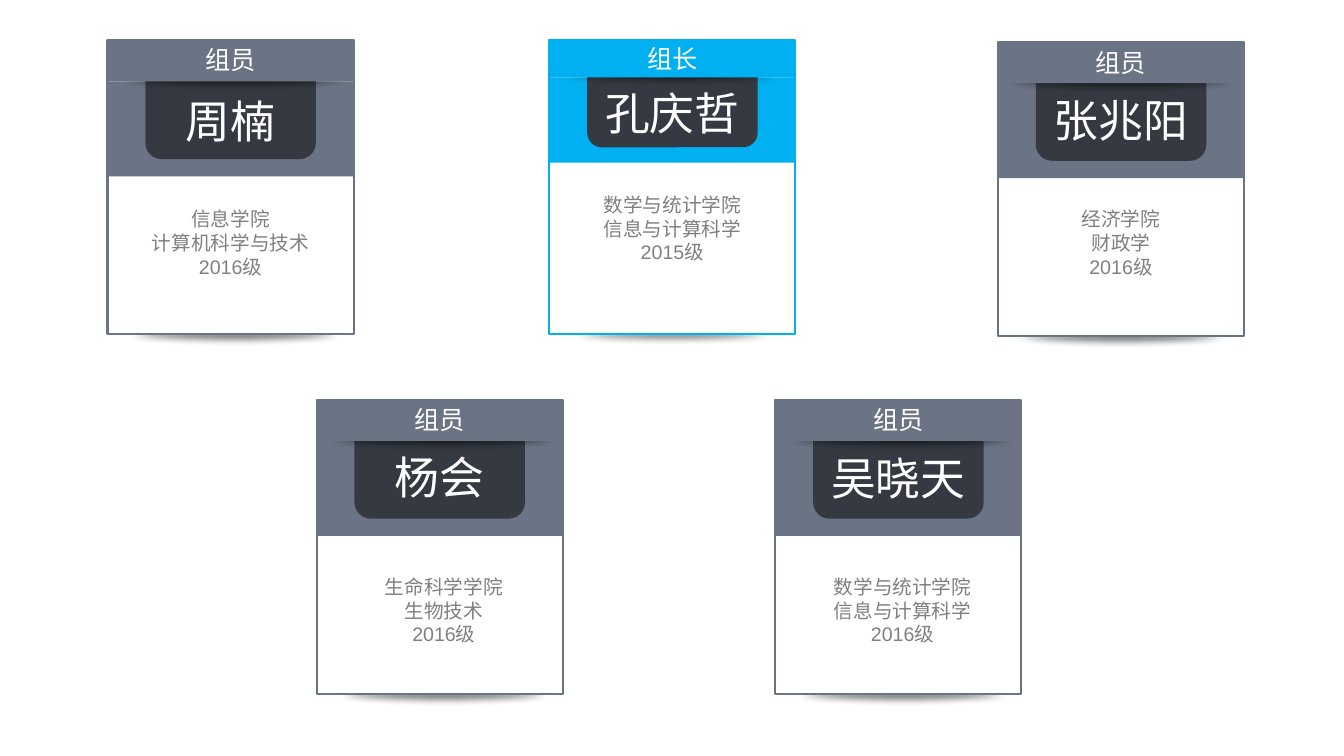
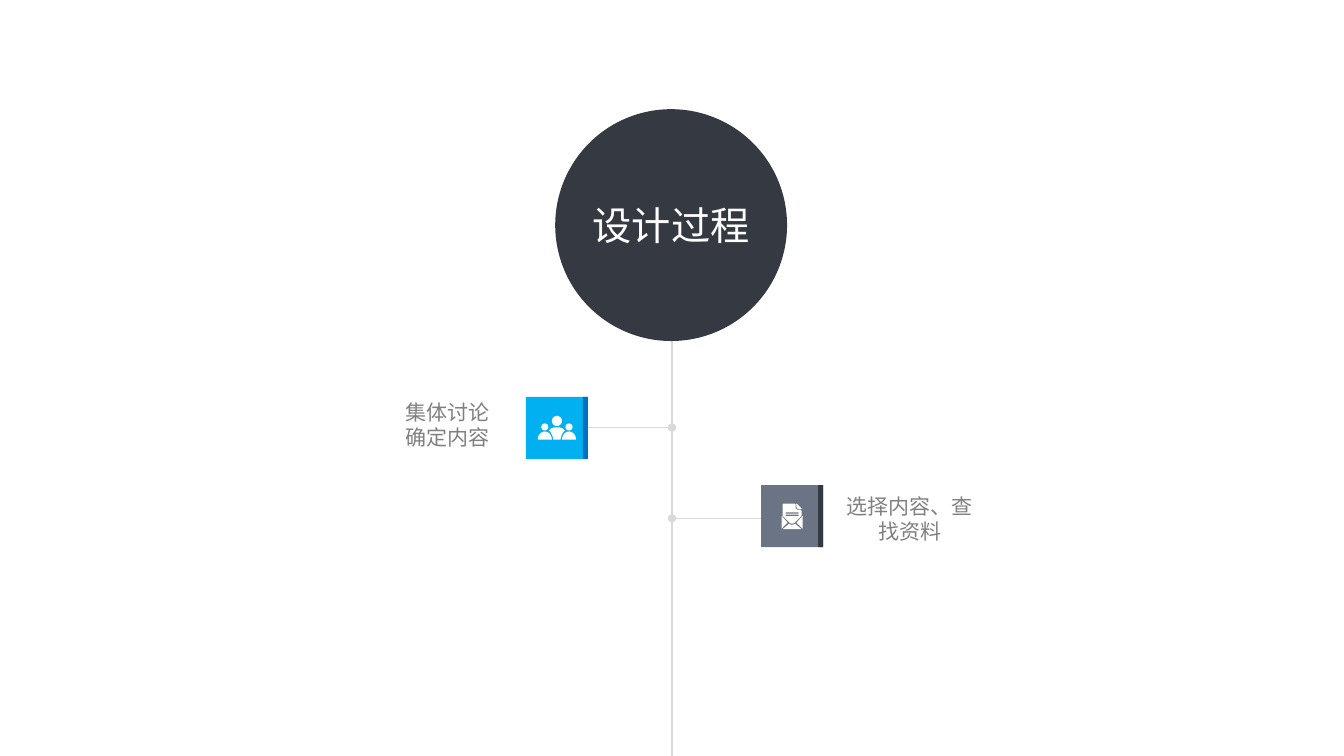
import math
from dataclasses import dataclass

from lxml import etree
from pptx import Presentation
from pptx import util as u
from pptx.dml.color import RGBColor
from pptx.enum import shapes as kinds, text as settings
from pptx.oxml.ns import qn


@dataclass(frozen=True)
class Theme:
    font: str = "Arial"
    slate: str = "6A7484"
    charcoal: str = "353A42"
    sky: str = "00B0F0"
    blue: str = "0070C0"
    white: str = "FFFFFF"
    black: str = "000000"
    grey: str = "808080"
    rule: str = "D9D9D9"
    name_size: int = 32
    title_size: int = 28
    role_size: int = 18
    label_size: int = 15
    detail_size: int = 14


THEME = Theme()
RECTANGLE = kinds.MSO_SHAPE.RECTANGLE
ELLIPSE = kinds.MSO_SHAPE.OVAL
CENTER = settings.PP_ALIGN.CENTER

# The slide is a grid of 160 columns and 90 rows of square cells
COLUMNS, ROWS = 160, 90
SLIDE_WIDTH, SLIDE_HEIGHT = u.Inches(13.333), u.Inches(7.5)
CELL = SLIDE_HEIGHT / ROWS


def cells(*counts: float) -> list[int]:
    return [round(count * CELL) for count in counts]


# Shared drawing functions
def add_shape(parent, kind, left: float, top: float, width: float, height: float,
              fill: str, line: str = ""):
    shape = parent.shapes.add_shape(kind, *cells(left, top, width, height))
    shape.shadow.inherit = False
    return paint(shape, fill, line)


def paint(shape, fill: str, line: str = ""):
    shape.fill.solid()
    shape.fill.fore_color.rgb = RGBColor.from_string(fill)
    if line:
        shape.line.color.rgb = RGBColor.from_string(line)
        shape.line.width = u.Pt(1.5)
    else:
        shape.line.fill.background()
    return shape


def add_soft_shadow(parent, center: float, middle: float, width: float, height: float) -> None:
    shadow = add_shape(parent, ELLIPSE, center - width / 2, middle - height / 2,
                       width, height, THEME.black)
    properties = shadow.element.spPr
    color = properties.find(qn("a:solidFill"))[0]
    etree.SubElement(color, qn("a:alpha"), val="50000")
    effects = properties.find(qn("a:effectLst"))
    etree.SubElement(effects, qn("a:softEdge"), rad="63500")


def write(shape, text: str, *, size: int, color: str, align=CENTER,
          anchor=settings.MSO_ANCHOR.TOP) -> None:
    frame = shape.text_frame
    frame.word_wrap = True
    frame.vertical_anchor = anchor
    frame.text = text
    for paragraph in frame.paragraphs:
        paragraph.alignment = align
        paragraph.font.name = THEME.font
        paragraph.font.size = u.Pt(size)
        paragraph.font.color.rgb = RGBColor.from_string(color)


def add_text(slide, text: str, left: float, top: float, width: float, height: float,
             **style) -> None:
    write(slide.shapes.add_textbox(*cells(left, top, width, height)), text, **style)


def add_rule(slide, start: tuple[float, float], end: tuple[float, float],
             dot: bool = False) -> None:
    rule = slide.shapes.add_connector(kinds.MSO_CONNECTOR.STRAIGHT, *cells(*start, *end))
    rule.line.color.rgb = RGBColor.from_string(THEME.rule)
    rule.line.width = u.Pt(1)
    if dot:
        line = rule.element.spPr.find(qn("a:ln"))
        etree.SubElement(line, qn("a:headEnd"), type="oval")
    etree.SubElement(rule.element.spPr, qn("a:effectLst"))


# Team cards
CARD_WIDTH, CARD_HEIGHT = 29.3, 35
SHADOW_HEIGHT = 2.75


@dataclass(frozen=True)
class Card:
    left: float
    top: float
    role: str
    name: str
    details: str
    role_top: float
    name_top: float
    detail_top: float
    color: str = THEME.slate
    header_scale: float = 1
    shadow_shift: float = 0.5
    detail_shift: float = 0


TEAM = [
    Card(118.8, 5, "组员", "张兆阳", "经济学院\n财政学\n2016级", 0.1, 5.4, 19.1,
         shadow_shift=0),
    Card(12.8, 4.8, "组员", "周楠", "信息学院\n计算机科学与技术\n2016级", -0.1, 5.8, 19.3),
    Card(65.4, 4.8, "组长", "孔庆哲", "数学与统计学院\n信息与计算科学\n2015级", -0.2, 4.8, 17.6,
         color=THEME.sky, header_scale=0.9, shadow_shift=0),
    Card(37.7, 47.6, "组员", "杨会", "生命科学学院\n生物技术\n2016级", -0.1, 5.3, 20.3,
         detail_shift=0.5),
    Card(92.3, 47.6, "组员", "吴晓天", "数学与统计学院\n信息与计算科学\n2016级", 0, 5.5, 20.3,
         detail_shift=0.5),
]


def add_card(slide, card: Card) -> None:
    left, top, scale = card.left, card.top, card.header_scale
    center = left + CARD_WIDTH / 2
    shadow_center = center + card.shadow_shift
    head, body, pocket = 4.9 * scale, 11.3 * scale, 11.4 * scale
    group = slide.shapes.add_group_shape()
    add_soft_shadow(group, shadow_center, top + 35.1, 32, SHADOW_HEIGHT * scale)
    add_shape(group, RECTANGLE, left, top, CARD_WIDTH, CARD_HEIGHT, THEME.white, card.color)
    add_shape(group, RECTANGLE, left, top + head, CARD_WIDTH, body, card.color)
    # The name pocket hangs from under the head band
    badge = add_shape(group, kinds.MSO_SHAPE.ROUNDED_RECTANGLE, center - 10.15,
                      top + 2.75 * scale, 20.3, pocket, THEME.charcoal)
    badge.adjustments[0] = 0.17
    add_soft_shadow(group, shadow_center, top + 4.75 * scale, 34.3, SHADOW_HEIGHT * scale)
    add_shape(group, RECTANGLE, left, top, CARD_WIDTH, head, card.color)

    lines = [
        (card.role, 14.6, 4.8, card.role_top, 0, THEME.role_size, THEME.white),
        (card.name, 18.6, 7.7, card.name_top, 0, THEME.name_size, THEME.white),
        (card.details, 24.1, 9.7, card.detail_top, card.detail_shift,
         THEME.detail_size, THEME.grey),
    ]
    for text, width, height, offset, shift, size, color in lines:
        add_text(slide, text, center - width / 2 + shift, top + offset, width, height,
                 size=size, color=color)


# Icons: contours in hundredths of an inch around the tile centre
Points = list[tuple[float, float]]


def arc(x: float, y: float, across: float, down: float, start: int = 0,
        end: int = 360) -> Points:
    return [(x + across * math.cos(math.radians(angle)),
             y + down * math.sin(math.radians(angle)))
            for angle in range(start, end + 1, 15)]


def mirror(points: Points) -> Points:
    return [(-x, y) for x, y in reversed(points)]


def box(left: float, top: float, right: float, bottom: float) -> Points:
    return [(left, top), (left, bottom), (right, bottom), (right, top)]


def people_icon() -> list[Points]:
    shoulder = [(0, -0.5), (3, -0.5), (6, 0.5), (8, 2.5), (6, 4.5), (4.5, 7.5), (3.5, 11.5)]
    head, torso = arc(12, -1, 3.5, 3.5), arc(12, 11.5, 7, 8, 180, 360)
    return [arc(0, -7, 5, 5), shoulder + mirror(shoulder),
            head, mirror(head), torso, mirror(torso)]


def letter_icon() -> list[Points]:
    flap = [(10.5, -0.5), (10.5, 12.5), (4.5, 6.5)]
    front = [(-3, 7.5), (-1.5, 8.5), (1.5, 8.5), (3, 7.5), (9.5, 13), (-9.5, 13)]
    sheet = [(-8.5, -12.5), (2.5, -12.5), (3.5, -11.5), (3.5, -7.5), (5, -6.5),
             (8.5, -6.5), (9.5, -5), (9.5, -0.5), (2, 7), (0, 7.5), (-2, 7),
             (-9.5, -0.5), (-9.5, -11.5)]
    corner = [(4, -12.5), (5, -12), (9.5, -7.5), (9, -7), (5, -7.5), (4.5, -8)]
    return [flap, mirror(flap), front, sheet, corner,
            box(-6.5, -1.5, 6.5, 0), box(-6.5, -3.8, 6.5, -2.5)]


def add_icon(slide, contours: list[Points], center: float, middle: float) -> None:
    center_x, center_y = cells(center, middle)
    unit = u.Inches(0.01)
    outlines = [[(round(center_x + x * unit), round(center_y + y * unit))
                 for x, y in contour] for contour in contours]
    builder = slide.shapes.build_freeform(*outlines[0][0])
    for outline in outlines:
        builder.move_to(*outline[0])
        builder.add_line_segments(outline[1:], close=True)
    icon = builder.convert_to_shape()
    icon.shadow.inherit = False
    paint(icon, THEME.white)


# Steps along the spine
SPINE = COLUMNS / 2
TILE, STRIPE, REACH = 7.4, 0.6, 10.6


@dataclass(frozen=True)
class Step:
    text: str
    side: int
    branch_row: float
    tile_left: float
    tile_top: float
    color: str
    stripe: str
    icon: list[Points]
    label: tuple[float, float, float, float]
    align: settings.PP_ALIGN


STEPS = [
    Step("集体讨论\n确定内容", -1, 50.9, 62.6, 47.25, THEME.sky, THEME.blue, people_icon(),
         (46.2, 47, 13.2, 7.2), settings.PP_ALIGN.RIGHT),
    Step("选择内容、查找资料", 1, 61.7, 90.6, 57.75, THEME.slate, THEME.charcoal, letter_icon(),
         (99.4, 58.1, 17.8, 7.3), CENTER),
]


def add_step(slide, step: Step) -> None:
    left, top = step.tile_left, step.tile_top
    add_rule(slide, (SPINE, step.branch_row),
             (SPINE + step.side * REACH, step.branch_row), dot=True)
    add_shape(slide, RECTANGLE, left, top, TILE, TILE, step.color)
    add_shape(slide, RECTANGLE, left + TILE - STRIPE, top, STRIPE, TILE, step.stripe)
    add_icon(slide, step.icon, left + TILE / 2, top + TILE / 2)
    add_text(slide, step.text, *step.label, size=THEME.label_size, color=THEME.grey,
             align=step.align)


# Slides
def build_team(presentation) -> None:
    slide = presentation.slides.add_slide(presentation.slide_layouts[6])
    for card in TEAM:
        add_card(slide, card)


def build_process(presentation) -> None:
    slide = presentation.slides.add_slide(presentation.slide_layouts[5])
    add_rule(slide, (SPINE, 39.4), (SPINE, ROWS))
    add_shape(slide, ELLIPSE, 66.1, 13, 27.6, 27.6, THEME.charcoal)
    for step in STEPS:
        add_step(slide, step)
    # The title sits in front of the circle
    title = slide.shapes.title
    title.left, title.top, title.width, title.height = cells(69.2, 23.4, 21.4, 6.8)
    write(title, "设计过程", size=THEME.title_size, color=THEME.white,
          anchor=settings.MSO_ANCHOR.MIDDLE)
    title.element.getparent().append(title.element)


def main() -> None:
    presentation = Presentation()
    presentation.slide_width, presentation.slide_height = SLIDE_WIDTH, SLIDE_HEIGHT
    build_team(presentation)
    build_process(presentation)
    presentation.save("out.pptx")


if __name__ == "__main__":
    main()
